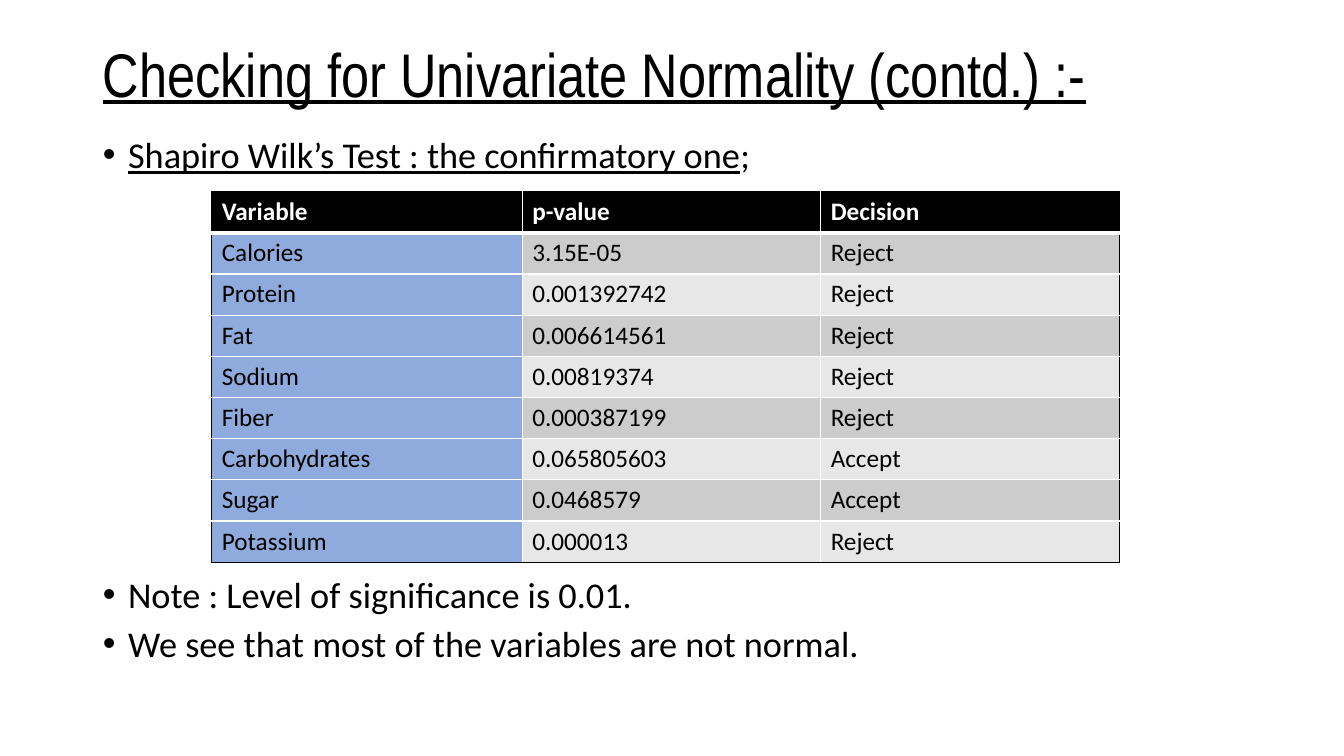
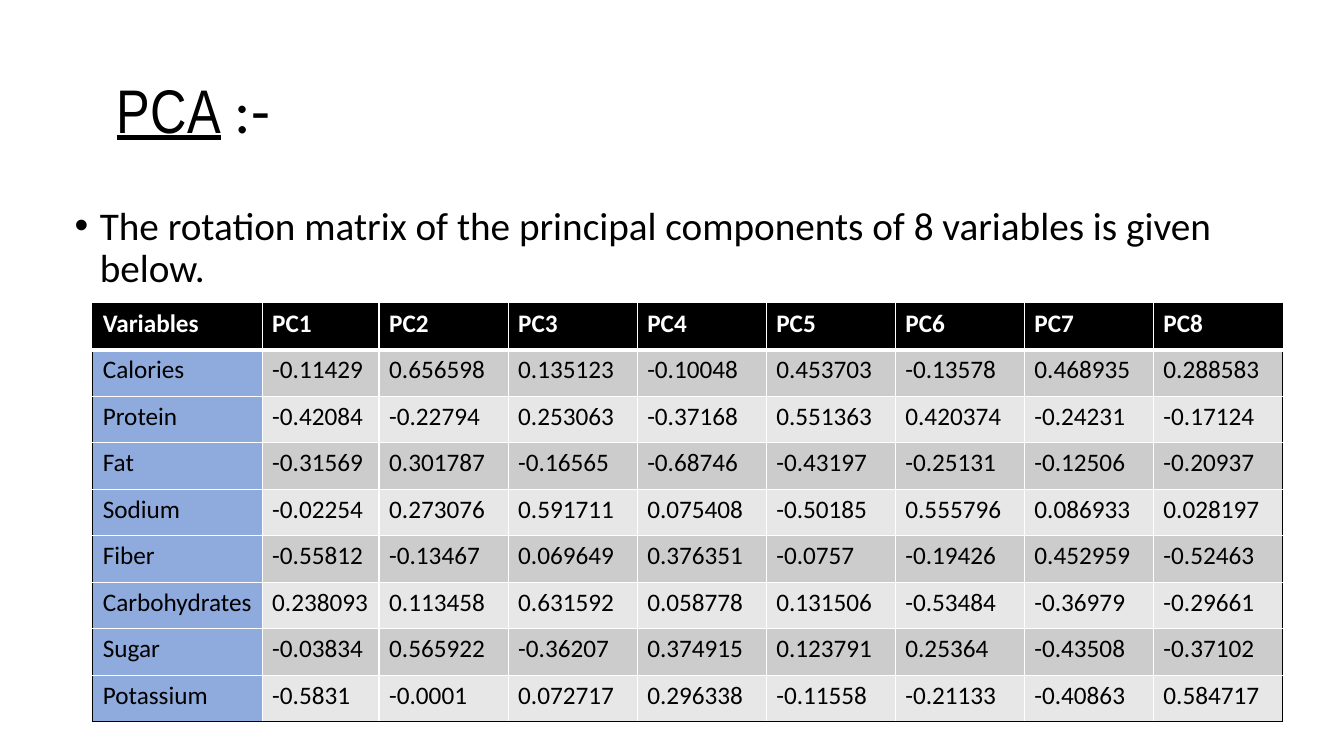
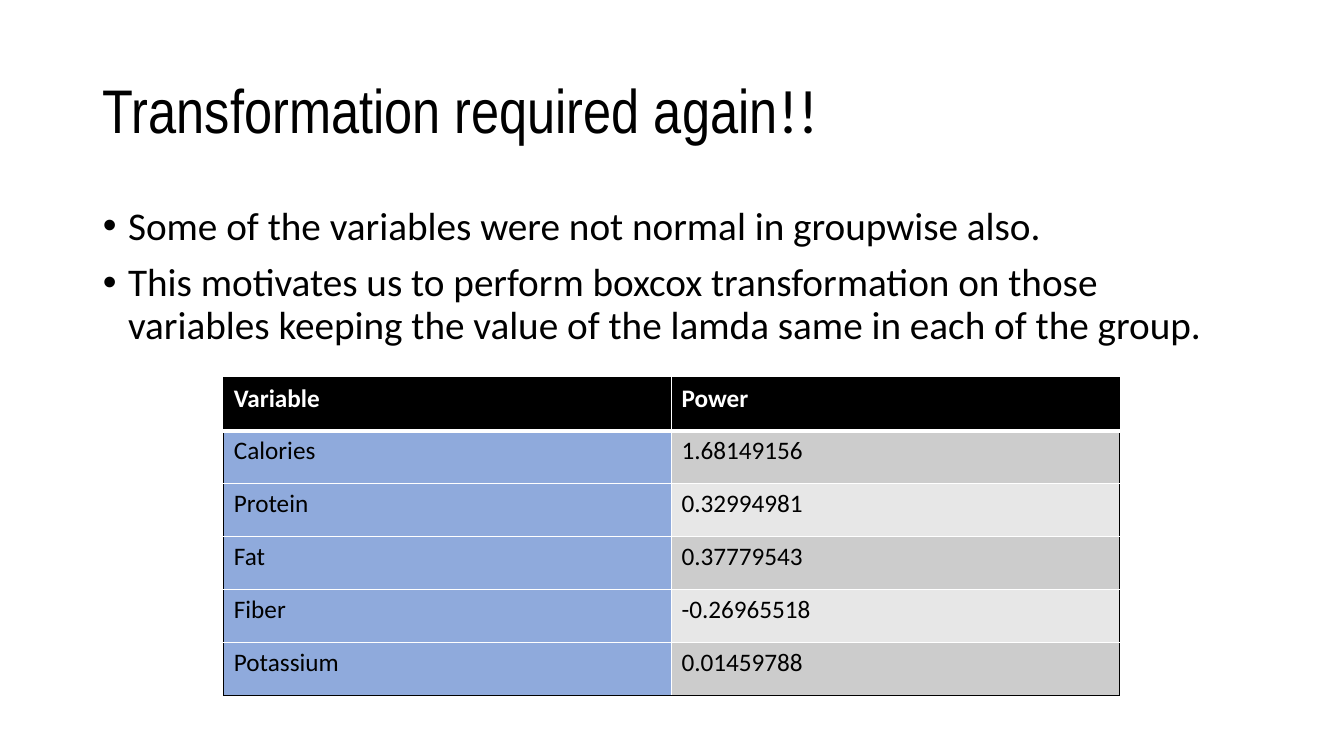
from dataclasses import dataclass

from lxml import etree
from pptx import Presentation
from pptx.dml.color import RGBColor
from pptx.enum.text import MSO_ANCHOR, MSO_AUTO_SIZE, PP_ALIGN
from pptx.oxml.ns import qn
from pptx.util import Pt

PX = 9144  # EMU per px, 100 px to the inch
LEFT = PP_ALIGN.LEFT
TOP, MIDDLE = MSO_ANCHOR.TOP, MSO_ANCHOR.MIDDLE
NO_FIT = MSO_AUTO_SIZE.NONE
TITLE_FONT, BODY_FONT = "Arial Narrow", "Calibri"
COLORS = {
    "text": "000000",
    "header": "000000",
    "header_text": "FFFFFF",
    "label": "8FAADC",
    "odd": "CCCCCC",
    "even": "E7E7E7",
    "frame": "000000",
    "grid": "FFFFFF",
}


@dataclass(frozen=True)
class Box:
    left: int
    top: int
    width: int
    height: int


@dataclass(frozen=True)
class Run:
    text: str
    font: str = BODY_FONT
    underline: bool = False


@dataclass(frozen=True)
class Bullet:
    runs: list[Run]
    before: int = 10


@dataclass(frozen=True)
class Grid:
    left: int
    top: int
    height: int
    cols: list[int]
    rows: list[list[str]]


@dataclass(frozen=True)
class Page:
    title: list[Run]
    bullets: list[Bullet]
    grid: Grid
    title_box: Box = Box(92, 40, 1150, 145)
    body_box: Box = Box(92, 200, 1150, 510)
    body_size: float = 28
    body_spacing: float = 0.9


def add_run(p, text: str, *, size: float, font: str = BODY_FONT, color: str = "text",
            bold: bool = False, underline: bool = False) -> None:
    r = p.add_run()
    r.text = text
    r.font.name = font
    r.font.size = Pt(size)
    r.font.bold = bold
    r.font.underline = underline
    r.font.color.rgb = RGBColor.from_string(COLORS[color])


def place(sp, box: Box, anchor):
    """Move a placeholder and return its text frame."""
    sp.left, sp.top = box.left * PX, box.top * PX
    sp.width, sp.height = box.width * PX, box.height * PX
    tf = sp.text_frame
    tf.word_wrap = True
    tf.auto_size = NO_FIT
    tf.vertical_anchor = anchor
    return tf


def fill_paragraph(p, runs: list[Run], size: float, spacing: float, before: int) -> None:
    p.alignment = LEFT
    p.line_spacing = spacing
    p.space_before = Pt(before)
    for run in runs:
        add_run(p, run.text, size=size, font=run.font, underline=run.underline)


def add_bullet(p) -> None:
    pPr = p._p.get_or_add_pPr()
    pPr.set("marL", str(25 * PX))
    pPr.set("indent", str(-25 * PX))
    etree.SubElement(pPr, qn("a:buFont")).set("typeface", "Arial")
    etree.SubElement(pPr, qn("a:buChar")).set("char", "•")


def add_border(cell, side: str, color: str, width: int) -> None:
    ln = etree.SubElement(cell._tc.get_or_add_tcPr(), qn(f"a:ln{side}"), w=str(Pt(width)))
    fill = etree.SubElement(ln, qn("a:solidFill"))
    etree.SubElement(fill, qn("a:srgbClr")).set("val", COLORS[color])


def format_cell(cell, text: str, row: int, col: int, last_row: int, last_col: int) -> None:
    # Black outer frame, white inner lines, thick rule under the header
    on_frame = {"L": col == 0, "R": col == last_col, "T": row == 0, "B": row == last_row}
    for side, outer in on_frame.items():
        under_header = (row, side) in ((0, "B"), (1, "T"))
        add_border(cell, side, "frame" if outer else "grid", 3 if under_header else 1)
    header = row == 0
    if header:
        fill = "header"
    elif col == 0:
        fill = "label"
    else:
        fill = "odd" if row % 2 else "even"
    cell.fill.solid()
    cell.fill.fore_color.rgb = RGBColor.from_string(COLORS[fill])
    add_run(cell.text_frame.paragraphs[0], text, size=18, bold=header,
            color="header_text" if header else "text")


def add_grid(s, grid: Grid) -> None:
    n_rows, n_cols = len(grid.rows), len(grid.cols)
    height = grid.height * PX
    table = s.shapes.add_table(n_rows, n_cols, grid.left * PX, grid.top * PX,
                               sum(grid.cols) * PX, height).table
    table.horz_banding = False
    for column, width in zip(table.columns, grid.cols):
        column.width = width * PX
    for i, values in enumerate(grid.rows):
        table.rows[i].height = height // n_rows
        for j, value in enumerate(values):
            format_cell(table.cell(i, j), value, i, j, n_rows - 1, n_cols - 1)


def add_page(prs, page: Page) -> None:
    s = prs.slides.add_slide(prs.slide_layouts[1])
    tf = place(s.shapes.title, page.title_box, MIDDLE)
    fill_paragraph(tf.paragraphs[0], page.title, 44, 0.9, 0)
    tf = place(s.placeholders[1], page.body_box, TOP)
    for i, bullet in enumerate(page.bullets):
        p = tf.add_paragraph() if i else tf.paragraphs[0]
        fill_paragraph(p, bullet.runs, page.body_size, page.body_spacing, bullet.before)
        add_bullet(p)
    add_grid(s, page.grid)


PAGES = [
    # Shapiro-Wilk test
    Page(
        title=[Run("Checking for Univariate Normality (contd.) :-", TITLE_FONT, True)],
        title_box=Box(92, 30, 1150, 94),
        body_box=Box(92, 135, 1150, 541),
        body_size=25.9,
        body_spacing=0.8,
        bullets=[
            Bullet([Run("Shapiro Wilk’s Test : the confirmatory one", underline=True), Run(";")]),
            # Room for the table
            Bullet([Run("Note : Level of significance is 0.01.")], before=289),
            Bullet([Run("We see that most of the variables are not normal.")]),
        ],
        grid=Grid(210, 190, 368, [308, 296, 296], [
            ["Variable", "p-value", "Decision"],
            ["Calories", "3.15E-05", "Reject"],
            ["Protein", "0.001392742", "Reject"],
            ["Fat", "0.006614561", "Reject"],
            ["Sodium", "0.00819374", "Reject"],
            ["Fiber", "0.000387199", "Reject"],
            ["Carbohydrates", "0.065805603", "Accept"],
            ["Sugar", "0.0468579", "Accept"],
            ["Potassium", "0.000013", "Reject"],
        ]),
    ),
    # Rotation matrix
    Page(
        title=[Run("PCA", TITLE_FONT, True), Run(" :-")],
        title_box=Box(106, 40, 1136, 145),
        body_box=Box(64, 200, 1226, 532),
        bullets=[Bullet([Run("The rotation matrix of the principal components of 8 variables "
                             "is given below.")])],
        grid=Grid(92, 301, 415, [168, 116] + [128] * 7, [
            ["Variables"] + [f"PC{n}" for n in range(1, 9)],
            ["Calories", "-0.11429", "0.656598", "0.135123", "-0.10048",
             "0.453703", "-0.13578", "0.468935", "0.288583"],
            ["Protein", "-0.42084", "-0.22794", "0.253063", "-0.37168",
             "0.551363", "0.420374", "-0.24231", "-0.17124"],
            ["Fat", "-0.31569", "0.301787", "-0.16565", "-0.68746",
             "-0.43197", "-0.25131", "-0.12506", "-0.20937"],
            ["Sodium", "-0.02254", "0.273076", "0.591711", "0.075408",
             "-0.50185", "0.555796", "0.086933", "0.028197"],
            ["Fiber", "-0.55812", "-0.13467", "0.069649", "0.376351",
             "-0.0757", "-0.19426", "0.452959", "-0.52463"],
            ["Carbohydrates", "0.238093", "0.113458", "0.631592", "0.058778",
             "0.131506", "-0.53484", "-0.36979", "-0.29661"],
            ["Sugar", "-0.03834", "0.565922", "-0.36207", "0.374915",
             "0.123791", "0.25364", "-0.43508", "-0.37102"],
            ["Potassium", "-0.5831", "-0.0001", "0.072717", "0.296338",
             "-0.11558", "-0.21133", "-0.40863", "0.584717"],
        ]),
    ),
    # Box-Cox powers
    Page(
        title=[Run("Transformation required again", TITLE_FONT), Run("!!")],
        bullets=[
            Bullet([Run("Some of the variables were not normal in groupwise also.")]),
            Bullet([Run("This motivates us to perform boxcox transformation on those variables "
                        "keeping the value of the lamda same in each of the group.")]),
        ],
        grid=Grid(222, 375, 315, [444, 444], [
            ["Variable", "Power"],
            ["Calories", "1.68149156"],
            ["Protein", "0.32994981"],
            ["Fat", "0.37779543"],
            ["Fiber", "-0.26965518"],
            ["Potassium", "0.01459788"],
        ]),
    ),
]


def main() -> None:
    prs = Presentation()
    prs.slide_width, prs.slide_height = 1333 * PX, 750 * PX
    for page in PAGES:
        add_page(prs, page)
    prs.save("out.pptx")


if __name__ == "__main__":
    main()
